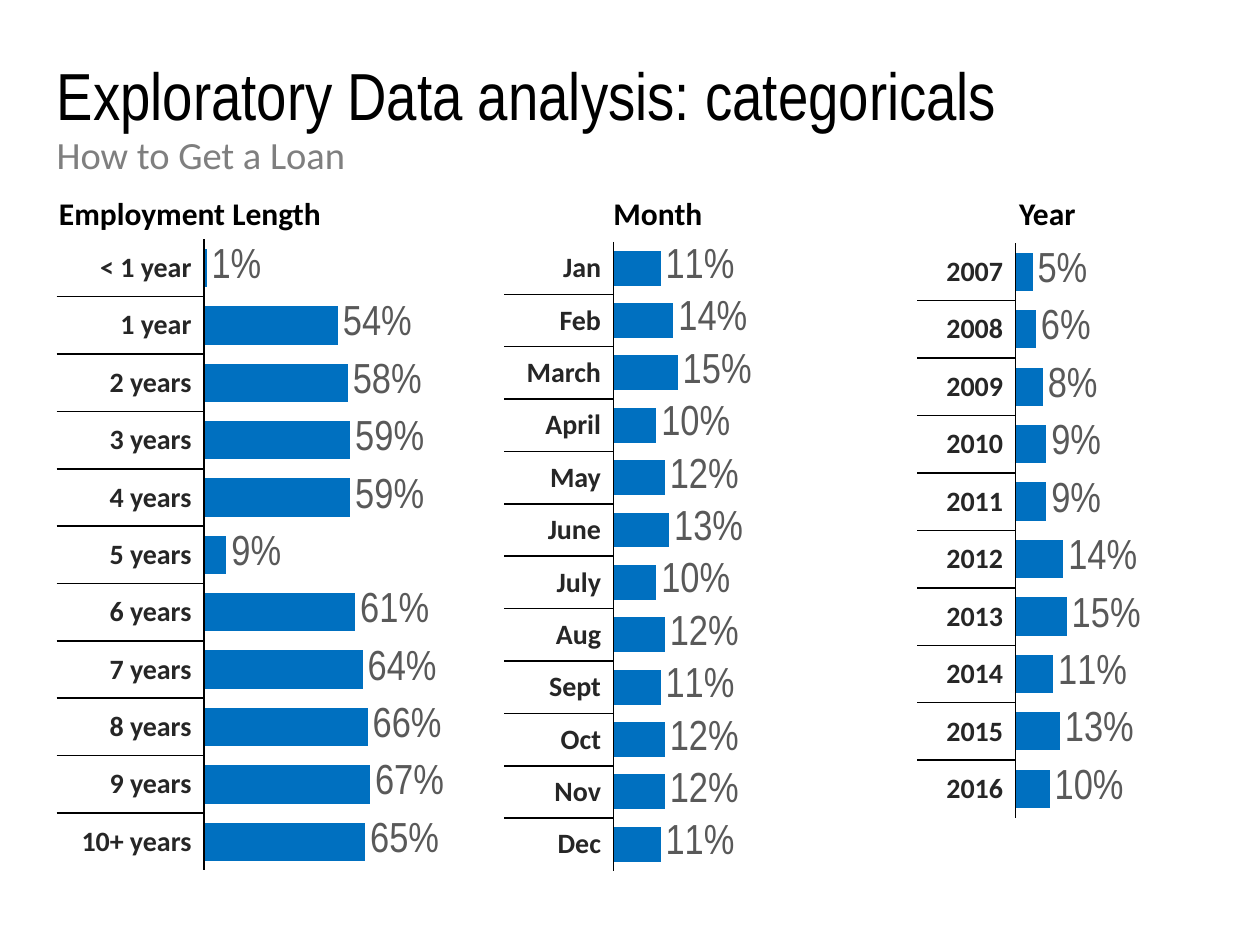
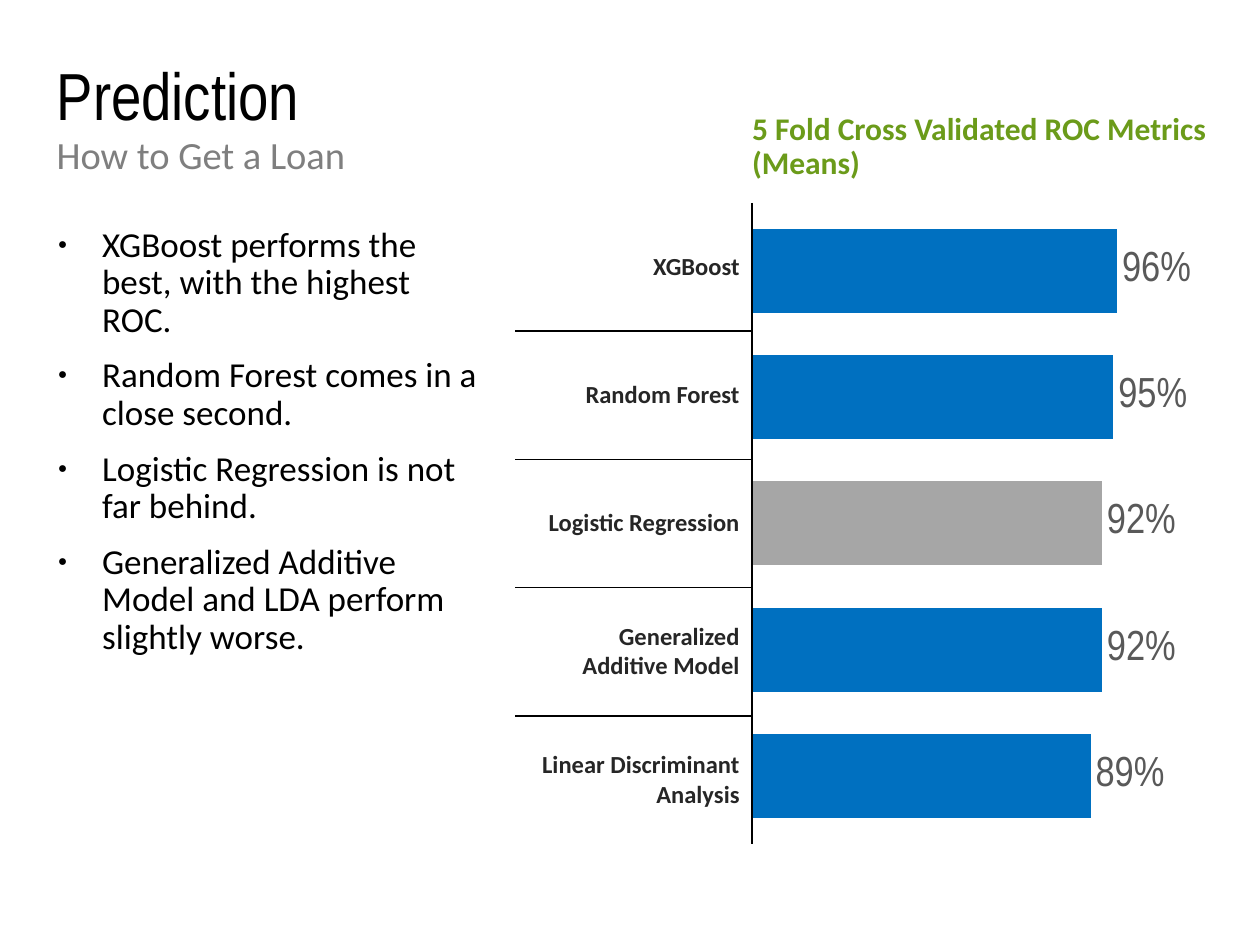
from lxml import etree
from pptx import Presentation
from pptx import util as u
from pptx.chart import data as chart_data
from pptx.dml.color import RGBColor
from pptx.enum import chart as charts, text
from pptx.oxml import ns

BLACK = RGBColor(0x00, 0x00, 0x00)
GREY = RGBColor(0x7F, 0x7F, 0x7F)
LABEL_GREY = RGBColor(0x59, 0x59, 0x59)
CELL_GREY = RGBColor(0x26, 0x26, 0x26)
BAR_BLUE = RGBColor(0x00, 0x70, 0xC0)
BAR_GREY = RGBColor(0xA6, 0xA6, 0xA6)
GREEN = RGBColor(0x6B, 0x9B, 0x1A)

TITLE_ONE_BODY, TITLE_TWO_BODIES = 1, 3
SUBTITLE = "How to Get a Loan"
TITLE_AREA = (0.45, 0.45, 9.1, 1.17)
SUBTITLE_AREA = (0.45, 1.03, 9.1, 0.59)

EMPLOYMENT = {"< 1 year": 0.01, "1 year": 0.54, "2 years": 0.58, "3 years": 0.59,
              "4 years": 0.59, "5 years": 0.09, "6 years": 0.61, "7 years": 0.64,
              "8 years": 0.66, "9 years": 0.67, "10+ years": 0.65}
MONTHS = {"Jan": 0.11, "Feb": 0.14, "March": 0.15, "April": 0.10, "May": 0.12,
          "June": 0.13, "July": 0.10, "Aug": 0.12, "Sept": 0.11, "Oct": 0.12,
          "Nov": 0.12, "Dec": 0.11}
YEARS = {"2007": 0.05, "2008": 0.06, "2009": 0.08, "2010": 0.09, "2011": 0.09,
         "2012": 0.14, "2013": 0.15, "2014": 0.11, "2015": 0.13, "2016": 0.10}
MODELS = {"XGBoost": 0.96, "Random Forest": 0.95, "Logistic Regression": 0.92,
          "Generalized Additive Model": 0.92, "Linear Discriminant Analysis": 0.89}
FINDINGS = ["XGBoost performs the best, with the highest ROC.",
            "Random Forest comes in a close second.",
            "Logistic Regression is not far behind.",
            "Generalized Additive Model and LDA perform slightly worse."]


def inches(area):
    return [u.Inches(length) for length in area]


def add_xml(parent, tag, **attributes):
    return etree.SubElement(parent, ns.qn(tag), attributes)


def set_all(target, values):
    for name, value in values.items():
        setattr(target, name, value)


class LoanDeck:
    def __init__(self):
        self.deck = Presentation()
        self.deck.slide_width, self.deck.slide_height = inches((10, 7.5))
        self.page = None

    def font(self, font, size, color, name="Calibri", bold=False):
        set_all(font, {"name": name, "size": u.Pt(size), "bold": bold})
        font.color.rgb = color

    def fill_text(self, box, lines, size, color, spacing=None, before=None, **style):
        """Fill the text frame of a box with one paragraph per line."""
        frame = box.text_frame
        set_all(frame, {"word_wrap": True, "auto_size": text.MSO_AUTO_SIZE.NONE,
                        "vertical_anchor": text.MSO_ANCHOR.TOP})
        frame.text = "\n".join(lines)
        for para in frame.paragraphs:
            para.alignment = text.PP_ALIGN.LEFT
            if spacing:
                para.line_spacing = spacing
            if before is not None:
                para.space_before = u.Pt(before)
            self.font(para.runs[0].font, size, color, **style)
        return frame.paragraphs

    def place(self, box, area):
        set_all(box, dict(zip(("left", "top", "width", "height"), inches(area))))

    def indent(self, para, left, first=0.0):
        props = para._p.get_or_add_pPr()
        props.set("marL", str(u.Inches(left)))
        props.set("indent", str(u.Inches(first)))
        return props

    def start_page(self, layout, title):
        self.page = self.deck.slides.add_slide(self.deck.slide_layouts[layout])
        heading, subheading = self.page.shapes.title, self.page.placeholders[1]
        for box, area in ((heading, TITLE_AREA), (subheading, SUBTITLE_AREA)):
            self.place(box, area)
            box.text_frame.margin_left = 0
        self.fill_text(heading, [title], 38, BLACK, spacing=0.9, name="Arial Narrow")
        para, = self.fill_text(subheading, [SUBTITLE], 22, GREY, spacing=0.9, before=10)
        add_xml(self.indent(para, 0), "a:buNone")

    def bullets(self, area, lines):
        box = self.page.placeholders[2]
        self.place(box, area)
        for para in self.fill_text(box, lines, 20, BLACK, spacing=0.9, before=10):
            props = self.indent(para, 0.47, -0.35)
            add_xml(props, "a:buSzPct", val="45000")
            add_xml(props, "a:buFont", typeface="Arial")
            add_xml(props, "a:buChar", char="●")

    def caption(self, area, lines, color=BLACK, left=0.0, spacing=None):
        box = self.page.shapes.add_textbox(*inches(area))
        for para in self.fill_text(box, lines, 18, color, spacing=spacing, bold=True):
            self.indent(para, left)

    def borders(self, cell, sides):
        """Draw black hairlines on the given sides and clear the others."""
        props = cell._tc.get_or_add_tcPr()
        for side in "LRTB":
            line = add_xml(props, f"a:ln{side}", w=str(u.Pt(1)))
            if side in sides:
                fill = add_xml(line, "a:solidFill")
                add_xml(fill, "a:srgbClr", val=str(BLACK))
            else:
                add_xml(line, "a:noFill")

    def row_labels(self, area, labels, size=16):
        left, top, width, height = inches(area)
        count = len(labels)
        table = self.page.shapes.add_table(count, 1, left, top, width, height).table
        set_all(table, {"first_row": False, "horz_banding": False})
        for index, label in enumerate(labels):
            table.rows[index].height = height // count
            cell = table.cell(index, 0)
            cell.text = label
            cell.vertical_anchor = text.MSO_ANCHOR.MIDDLE
            para = cell.text_frame.paragraphs[0]
            para.alignment = text.PP_ALIGN.RIGHT
            self.font(para.runs[0].font, size, CELL_GREY, bold=True)
            above = "T" if index else ""
            below = "B" if index < count - 1 else ""
            self.borders(cell, "R" + above + below)
            cell.fill.background()

    def bars(self, area, values, maximum, plot_width, grey_bar=None):
        """Horizontal bars, listed from top to bottom."""
        data = chart_data.CategoryChartData(number_format="0%")
        data.categories = [str(number + 1) for number in range(len(values))]
        data.add_series("Series 1", list(values)[::-1])
        chart = self.page.shapes.add_chart(
            charts.XL_CHART_TYPE.BAR_CLUSTERED, *inches(area), data).chart
        set_all(chart, {"has_legend": False, "has_title": False})
        self.font(chart.font, 18, BLACK)
        set_all(chart.category_axis, {"visible": False, "has_major_gridlines": False})
        set_all(chart.value_axis, {"visible": False, "has_major_gridlines": False,
                                   "minimum_scale": 0, "maximum_scale": maximum})
        plot = chart.plots[0]
        set_all(plot, {"gap_width": 50, "vary_by_categories": False,
                       "has_data_labels": True})
        labels = plot.data_labels
        set_all(labels, {"show_value": True, "number_format": "0%",
                         "number_format_is_linked": False,
                         "position": charts.XL_LABEL_POSITION.OUTSIDE_END})
        self.font(labels.font, 24, LABEL_GREY, name="Arial Narrow")
        series = plot.series[0]
        series.format.fill.solid()
        series.format.fill.fore_color.rgb = BAR_BLUE
        if grey_bar is not None:
            fill = series.points[len(values) - 1 - grey_bar].format.fill
            fill.solid()
            fill.fore_color.rgb = BAR_GREY
        self.fix_plot_area(chart, plot_width)

    def fix_plot_area(self, chart, width):
        area = chart._chartSpace.chart.plotArea
        for old in area.findall(ns.qn("c:layout")):
            area.remove(old)
        layout = etree.Element(ns.qn("c:layout"))
        area.insert(0, layout)
        manual = add_xml(layout, "c:manualLayout")
        for tag, value in (("layoutTarget", "inner"), ("xMode", "edge"),
                           ("yMode", "edge"), ("x", 0), ("y", 0),
                           ("w", width), ("h", 1)):
            add_xml(manual, f"c:{tag}", val=str(value))


def categoricals_page(loan):
    loan.start_page(TITLE_ONE_BODY, "Exploratory Data analysis: categoricals")
    loan.caption((0.37, 1.49, 3.13, 0.4), ["Employment Length"])
    loan.caption((4.77, 1.49, 2.22, 0.4), ["Month"])
    loan.caption((7.99, 1.49, 2.22, 0.4), ["Year"])
    panels = [(EMPLOYMENT, 0.45, 1.9, 1.17, 5.01, 0.75, 0.5),
              (MONTHS, 4, 1.92, 0.87, 4.99, 0.2, 0.23),
              (YEARS, 7.28, 1.93, 0.78, 4.56, 0.25, 0.23)]
    for shares, left, top, width, height, maximum, plot_width in panels:
        loan.bars((left + width, top, 2.95, height), shares.values(), maximum, plot_width)
        loan.row_labels((left, top, width, height), shares)


def prediction_page(loan):
    loan.start_page(TITLE_TWO_BODIES, "Prediction")
    loan.row_labels((4.09, 1.61, 1.88, 5.09), MODELS, size=14)
    loan.bars((5.98, 1.65, 3.58, 5.01), MODELS.values(), 1, 0.84, grey_bar=2)
    loan.bullets((0.24, 1.75, 3.66, 3.67), FINDINGS)
    loan.caption((5.75, 0.85, 4.39, 1.2),
                 ["5 Fold Cross Validated ROC Metrics", "(Means)"],
                 color=GREEN, left=0.12, spacing=0.9)


def main():
    loan = LoanDeck()
    categoricals_page(loan)
    prediction_page(loan)
    loan.deck.save("out.pptx")


if __name__ == "__main__":
    main()
